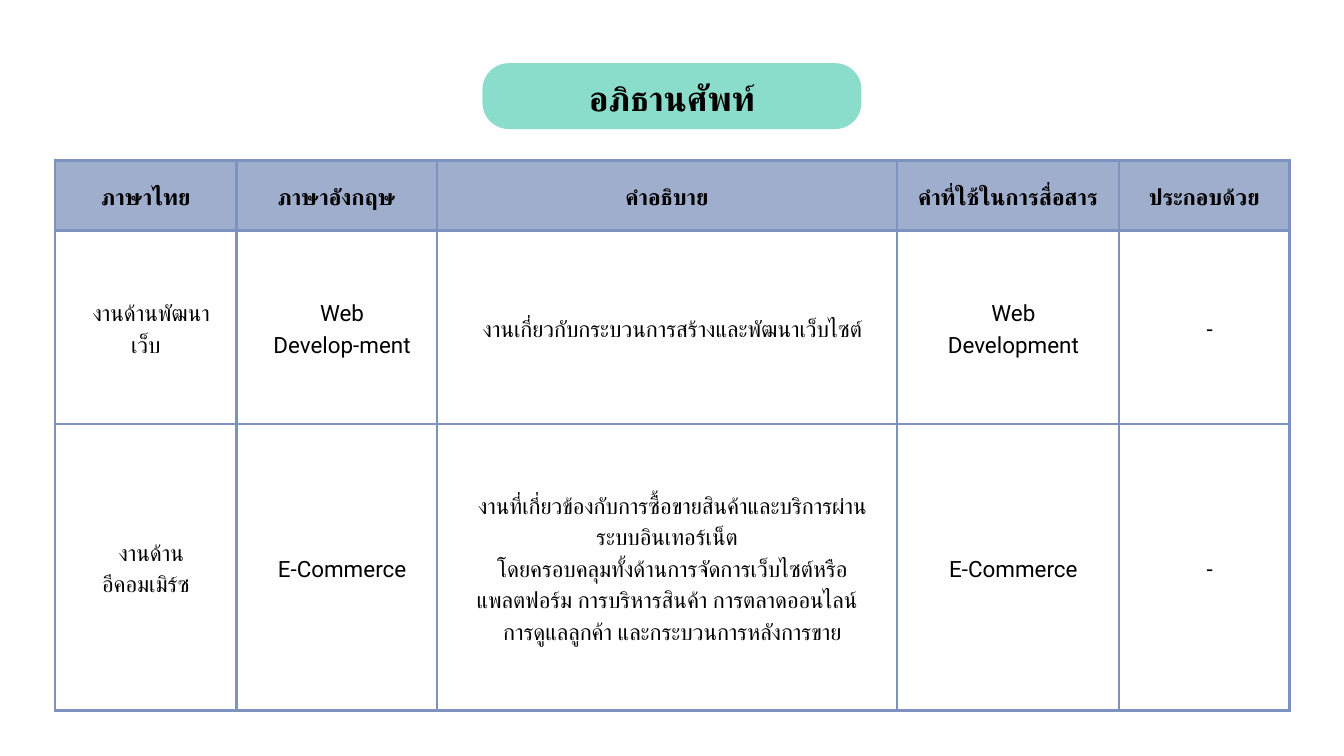
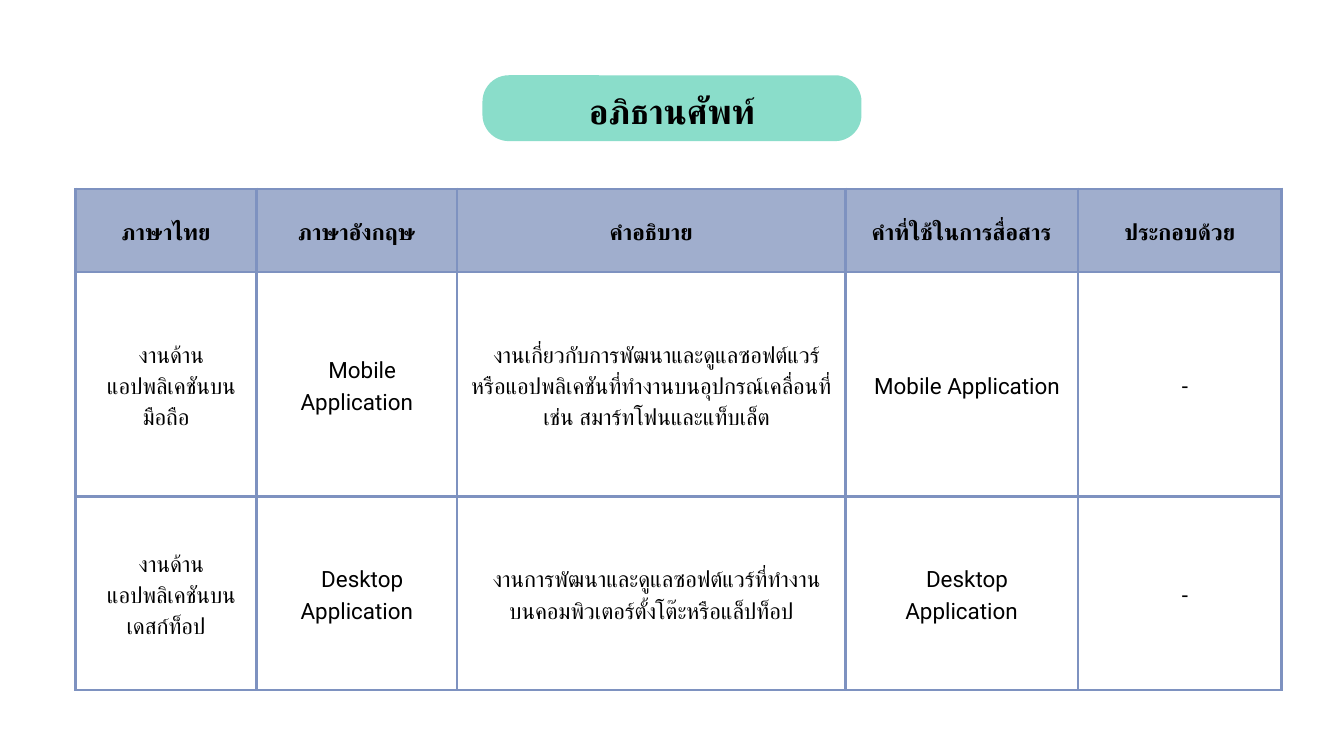
import pptx
import pptx.dml.color
import pptx.enum.shapes
import pptx.enum.text
import pptx.oxml
import pptx.oxml.ns
import pptx.util
from pptx.util import Inches

RGBColor = pptx.dml.color.RGBColor
MINT = RGBColor(0x8A, 0xDD, 0xCA)
HEADER_BLUE = RGBColor(0xA0, 0xAE, 0xCD)
BORDER_BLUE = RGBColor(0x7E, 0x92, 0xC0)
BLACK = RGBColor(0, 0, 0)

FONT = "Roboto"
SLIDE_WIDTH, SLIDE_HEIGHT = 20, 11.25
PILL_WIDTH, PILL_HEIGHT = 5.64, 0.98
TITLE_WIDTH, TITLE_HEIGHT = 3, 0.69
CELL_MARGIN = 0.21
BODY_INDENT = 0.16
TITLE_ONLY_LAYOUT = 5

TITLE = "อภิธานศัพท์"
HEADERS = ["ภาษาไทย", "ภาษาอังกฤษ", "คำอธิบาย", "คำที่ใช้ในการสื่อสาร", "ประกอบด้วย"]

GLOSSARY_PAGES = [
    {
        "pill_top": 0.94,
        "table_at": (0.82, 2.39),
        "columns": [2.7, 2.98, 6.85, 3.3, 2.54],
        "rows": [1.04, 2.88, 4.26],
        "terms": [
            ["งานด้านพัฒนาเว็บ", "Web\nDevelop-ment",
             "งานเกี่ยวกับกระบวนการสร้างและพัฒนาเว็บไซต์",
             "Web\nDevelopment", "-"],
            ["งานด้านอีคอมเมิร์ซ", "E-Commerce",
             "งานที่เกี่ยวข้องกับการซื้อขายสินค้าและบริการผ่านระบบอินเทอร์เน็ต\n"
             "โดยครอบคลุมทั้งด้านการจัดการเว็บไซต์หรือแพลตฟอร์ม การบริหารสินค้า การตลาดออนไลน์\n"
             "การดูแลลูกค้า และกระบวนการหลังการขาย",
             "E-Commerce", "-"],
        ],
    },
    {
        "pill_top": 1.12,
        "table_at": (1.12, 2.81),
        "columns": [2.7, 2.98, 5.78, 3.46, 3.03],
        "rows": [1.24, 3.34, 2.88],
        "terms": [
            ["งานด้าน\nแอปพลิเคชันบนมือถือ", "Mobile Application",
             "งานเกี่ยวกับการพัฒนาและดูแลซอฟต์แวร์หรือแอปพลิเคชันที่ทำงานบนอุปกรณ์เคลื่อนที่\n"
             "เช่น สมาร์ทโฟนและแท็บเล็ต",
             "Mobile Application", "-"],
            ["งานด้าน\nแอปพลิเคชันบนเดสก์ท็อป", "Desktop Application",
             "งานการพัฒนาและดูแลซอฟต์แวร์ที่ทำงานบนคอมพิวเตอร์ตั้งโต๊ะหรือแล็ปท็อป",
             "Desktop Application", "-"],
        ],
    },
]


def write_text(frame, text, size=24, line_spacing=33.6, bold=False, indent=0):
    """Fill a text frame with centred paragraphs, one per line of text."""
    frame.text = text
    for paragraph in frame.paragraphs:
        paragraph.alignment = pptx.enum.text.PP_ALIGN.CENTER
        paragraph.line_spacing = pptx.util.Pt(line_spacing)
        if indent:
            properties = paragraph._p.get_or_add_pPr()
            properties.set("marL", "0")
            properties.set("indent", str(Inches(indent)))
        for run in paragraph.runs:
            font = run.font
            font.name, font.size, font.bold = FONT, pptx.util.Pt(size), bold
            font.color.rgb = BLACK
            # Thai is complex script, which has its own font setting
            complex_font = pptx.oxml.parse_xml(
                f'<a:cs {pptx.oxml.ns.nsdecls("a")} typeface="{FONT}"/>')
            run._r.get_or_add_rPr().append(complex_font)


def add_borders(cell, width=3):
    properties = cell._tc.get_or_add_tcPr()
    for side in "LRTB":
        properties.append(pptx.oxml.parse_xml(
            f'<a:ln{side} {pptx.oxml.ns.nsdecls("a")} w="{pptx.util.Pt(width)}">'
            f'<a:solidFill><a:srgbClr val="{BORDER_BLUE}"/></a:solidFill>'
            f'</a:ln{side}>'))


class GlossaryDeck:
    def __init__(self):
        self.presentation = pptx.Presentation()
        self.presentation.slide_width = Inches(SLIDE_WIDTH)
        self.presentation.slide_height = Inches(SLIDE_HEIGHT)
        self.slide = None

    def new_slide(self):
        layout = self.presentation.slide_layouts[TITLE_ONLY_LAYOUT]
        self.slide = self.presentation.slides.add_slide(layout)

    def add_pill(self, top):
        pill = self.slide.shapes.add_shape(
            pptx.enum.shapes.MSO_SHAPE.ROUNDED_RECTANGLE,
            Inches((SLIDE_WIDTH - PILL_WIDTH) / 2), Inches(top),
            Inches(PILL_WIDTH), Inches(PILL_HEIGHT))
        pill.adjustments[0] = 0.4
        pill.fill.solid()
        pill.fill.fore_color.rgb = MINT
        pill.line.fill.background()
        pill.shadow.inherit = False

    def add_title(self, text, top):
        """Place the title placeholder in front of the shapes added so far."""
        title = self.slide.shapes.title
        title.left, title.top = Inches((SLIDE_WIDTH - TITLE_WIDTH) / 2), Inches(top)
        title.width, title.height = Inches(TITLE_WIDTH), Inches(TITLE_HEIGHT)
        frame = title.text_frame
        frame.margin_left = frame.margin_right = frame.margin_top = frame.margin_bottom = 0
        frame.vertical_anchor = pptx.enum.text.MSO_ANCHOR.TOP
        frame.word_wrap = True
        frame.auto_size = pptx.enum.text.MSO_AUTO_SIZE.SHAPE_TO_FIT_TEXT
        write_text(frame, text, size=37, line_spacing=51.7, bold=True)
        title.element.getparent().append(title.element)

    def add_table(self, position, columns, rows, terms):
        left, top = position
        table = self.slide.shapes.add_table(
            len(rows), len(columns), Inches(left), Inches(top),
            Inches(sum(columns)), Inches(sum(rows))).table
        table.first_row = table.horz_banding = False
        for column, width in zip(table.columns, columns):
            column.width = Inches(width)
        for row, height in zip(table.rows, rows):
            row.height = Inches(height)
        for row_index, texts in enumerate([HEADERS, *terms]):
            for column_index, text in enumerate(texts):
                self.format_cell(table.cell(row_index, column_index), text, row_index == 0)

    def format_cell(self, cell, text, is_header):
        cell.margin_left = cell.margin_right = Inches(CELL_MARGIN)
        cell.margin_top = cell.margin_bottom = Inches(CELL_MARGIN)
        cell.vertical_anchor = pptx.enum.text.MSO_ANCHOR.MIDDLE
        add_borders(cell)
        if is_header:
            cell.fill.solid()
            cell.fill.fore_color.rgb = HEADER_BLUE
        else:
            cell.fill.background()
        write_text(cell.text_frame, text, bold=is_header,
                   indent=0 if is_header else BODY_INDENT)


def main():
    deck = GlossaryDeck()
    for page in GLOSSARY_PAGES:
        deck.new_slide()
        deck.add_pill(page["pill_top"])
        deck.add_table(page["table_at"], page["columns"], page["rows"], page["terms"])
        deck.add_title(TITLE, page["pill_top"] + 0.11)
    deck.presentation.save("out.pptx")


if __name__ == "__main__":
    main()
